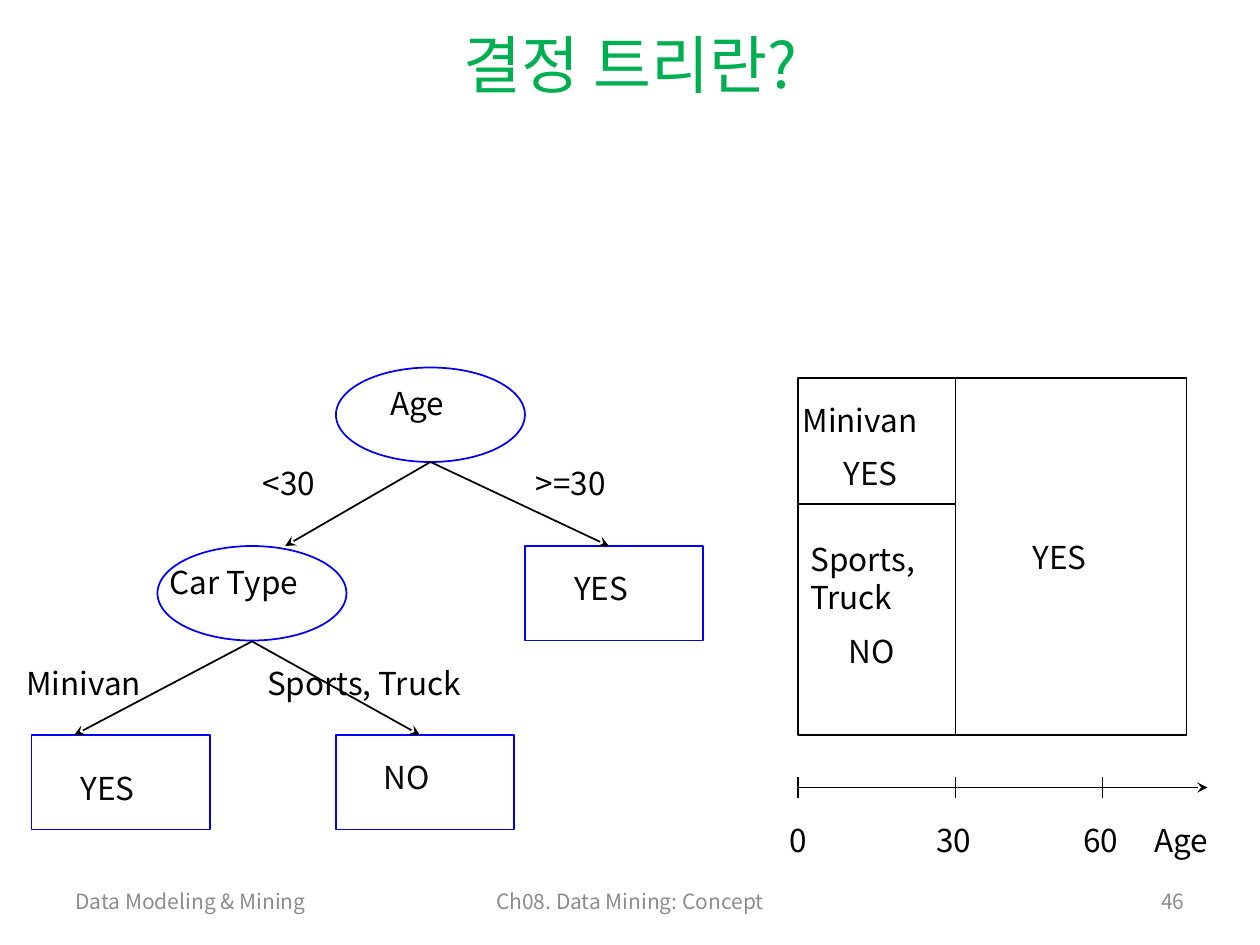
from lxml import etree
from pptx import Presentation
from pptx.dml.color import RGBColor
from pptx.enum.shapes import MSO_CONNECTOR, MSO_SHAPE
from pptx.enum.text import MSO_ANCHOR, PP_ALIGN
from pptx.oxml.ns import qn
from pptx.util import Pt

LEFT, MID, RIGHT = PP_ALIGN.LEFT, PP_ALIGN.CENTER, PP_ALIGN.RIGHT
TOP, CENTER = MSO_ANCHOR.TOP, MSO_ANCHOR.MIDDLE
OVAL, RECT = MSO_SHAPE.OVAL, MSO_SHAPE.RECTANGLE
LINE = MSO_CONNECTOR.STRAIGHT
FONT = "Noto Sans CJK KR"
COLORS = {"title": "00B050", "text": "000000", "leaf": "080808",
          "node": "0000FF", "line": "000000", "foot": "8C8C8C"}


def color(name):
    return RGBColor.from_string(COLORS[name])


def style(frame, size, tint, align=LEFT, anchor=CENTER):
    frame.word_wrap = True
    frame.vertical_anchor = anchor
    for para in frame.paragraphs:
        para.alignment = align
        font = para.font
        font.size, font.name = Pt(size), FONT
        font.color.rgb = color(tint)
        # East Asian glyphs need their own typeface entry
        east = etree.SubElement(para._p.pPr.find(qn("a:defRPr")), qn("a:ea"))
        east.set("typeface", FONT)


def label(shapes, text, x, y, w, h=36, size=18, tint="text", **place):
    box = shapes.add_textbox(Pt(x), Pt(y), Pt(w), Pt(h))
    box.text_frame.text = text
    style(box.text_frame, size, tint, **place)


def outline(shapes, kind, x, y, w, h, tint):
    shape = shapes.add_shape(kind, Pt(x), Pt(y), Pt(w), Pt(h))
    shape.shadow.inherit = False
    shape.fill.background()
    shape.line.color.rgb = color(tint)
    shape.line.width = Pt(1)


def rule(shapes, x1, y1, x2, y2, arrow=False):
    line = shapes.add_connector(LINE, Pt(x1), Pt(y1), Pt(x2), Pt(y2))
    line.line.color.rgb = color("line")
    line.line.width = Pt(1)
    if arrow:
        tail = etree.SubElement(line.line._get_or_add_ln(), qn("a:tailEnd"))
        tail.set("type", "stealth")
    etree.SubElement(line._element.spPr, qn("a:effectLst"))


def add_title(slide, x, y, w, h):
    title = slide.shapes.title
    title.left, title.top, title.width, title.height = Pt(x), Pt(y), Pt(w), Pt(h)
    title.text_frame.text = "결정 트리란?"
    style(title.text_frame, 36, "title", MID)


def add_tree(shapes, x, y):
    # Test nodes and leaves
    for kind, dx, dy, w in [(OVAL, 184, 0, 108), (OVAL, 82, 102, 108),
                            (RECT, 292, 102, 102), (RECT, 10, 210, 102),
                            (RECT, 184, 210, 102)]:
        outline(shapes, kind, x + dx, y + dy, w, 54, "node")

    # Branches, each pair from the foot of a test node
    for dx, dy, ends, foot in [(136, 156.5, (34.5, 232), 210),
                               (238, 54, (155, 340), 102)]:
        for end in ends:
            rule(shapes, x + dx, y + dy, x + end, y + foot, arrow=True)

    # Node names
    for text, dx, dy, w in [("Age", 208, 6, 58), ("Car Type", 82, 108, 113)]:
        label(shapes, text, x + dx, y + dy, w, anchor=TOP)

    # Leaf classes
    for text, dx, dy in [("YES", 31, 222), ("NO", 204, 216), ("YES", 313, 108)]:
        label(shapes, text, x + dx, y + dy, 58, tint="leaf")

    # Branch conditions
    for text, dx, dy, w in [("<30", 135, 48, 53), (">=30", 291, 48, 68),
                            ("Minivan", 0, 162, 104),
                            ("Sports, Truck", 137.5, 162, 157)]:
        label(shapes, text, x + dx, y + dy, w)


def add_map(shapes, x, y):
    # Regions
    wide, high, split = 222, 204, 90
    outline(shapes, RECT, x, y, wide, high, "line")
    rule(shapes, x + split, y + high, x + split, y)
    rule(shapes, x, y + 72, x + split, y + 72)

    # Age axis with ticks
    axis = y + 234
    rule(shapes, x, axis, x + 234, axis, arrow=True)
    for dx in (0, split, 174):
        rule(shapes, x + dx, axis - 6, x + dx, axis + 6)
    for text, dx, w in [("0", -12, 27), ("30", 72, 38), ("60", 156, 38),
                        ("Age", 196.5, 58)]:
        label(shapes, text, x + dx, axis + 12, w)

    # Region classes and car types
    for text, dx, dy in [("YES", 127, 84), ("YES", 19, 36), ("NO", 22, 138)]:
        label(shapes, text, x + dx, y + dy, 58, tint="leaf")
    label(shapes, "Minivan", x - 4.5, y + 6, 104)
    label(shapes, "Sports,\vTruck", x, y + 81.5, 88, 65)


def add_footer(shapes, x, y):
    for text, dx, w, align in [("Data Modeling & Mining", 0, 154, LEFT),
                               ("Ch08. Data Mining: Concept", 179, 290, MID),
                               ("46", 602, 46, RIGHT)]:
        label(shapes, text, x + dx, y, w, 29, 12, "foot", align=align)


def main():
    deck = Presentation()
    deck.slide_width, deck.slide_height = Pt(720), Pt(540)
    slide = deck.slides.add_slide(deck.slide_layouts[5])
    add_title(slide, 36, 11.5, 648, 49)
    add_tree(slide.shapes, 8, 210)
    add_map(slide.shapes.add_group_shape().shapes, 456, 216)
    add_footer(slide.shapes, 36, 500.5)
    deck.save("out.pptx")


if __name__ == "__main__":
    main()
